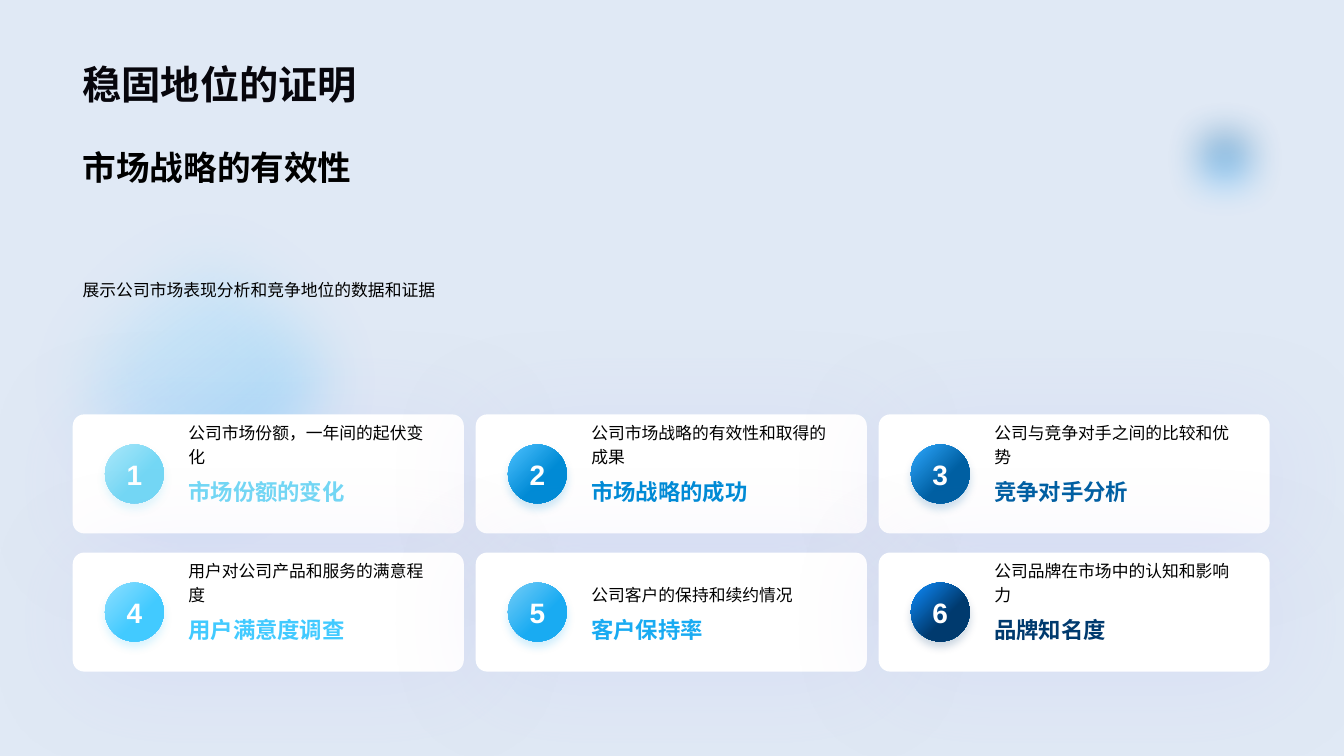
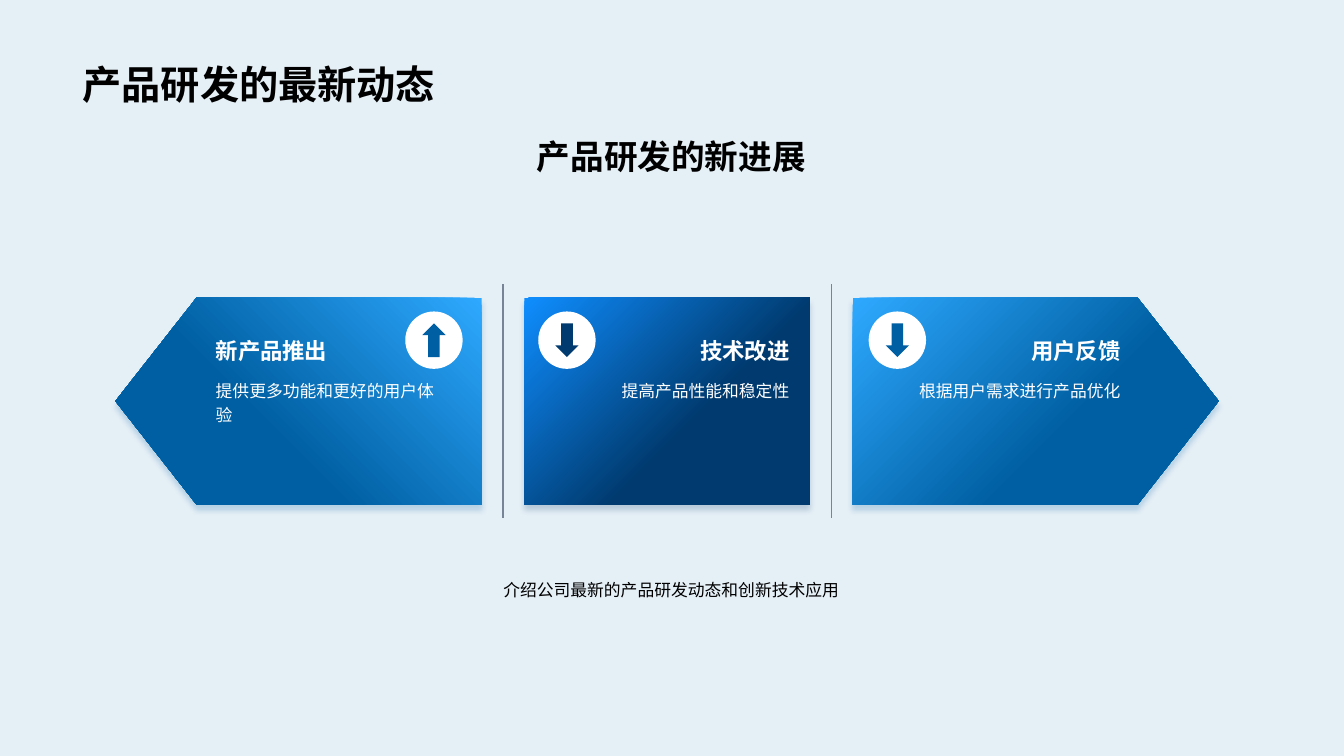
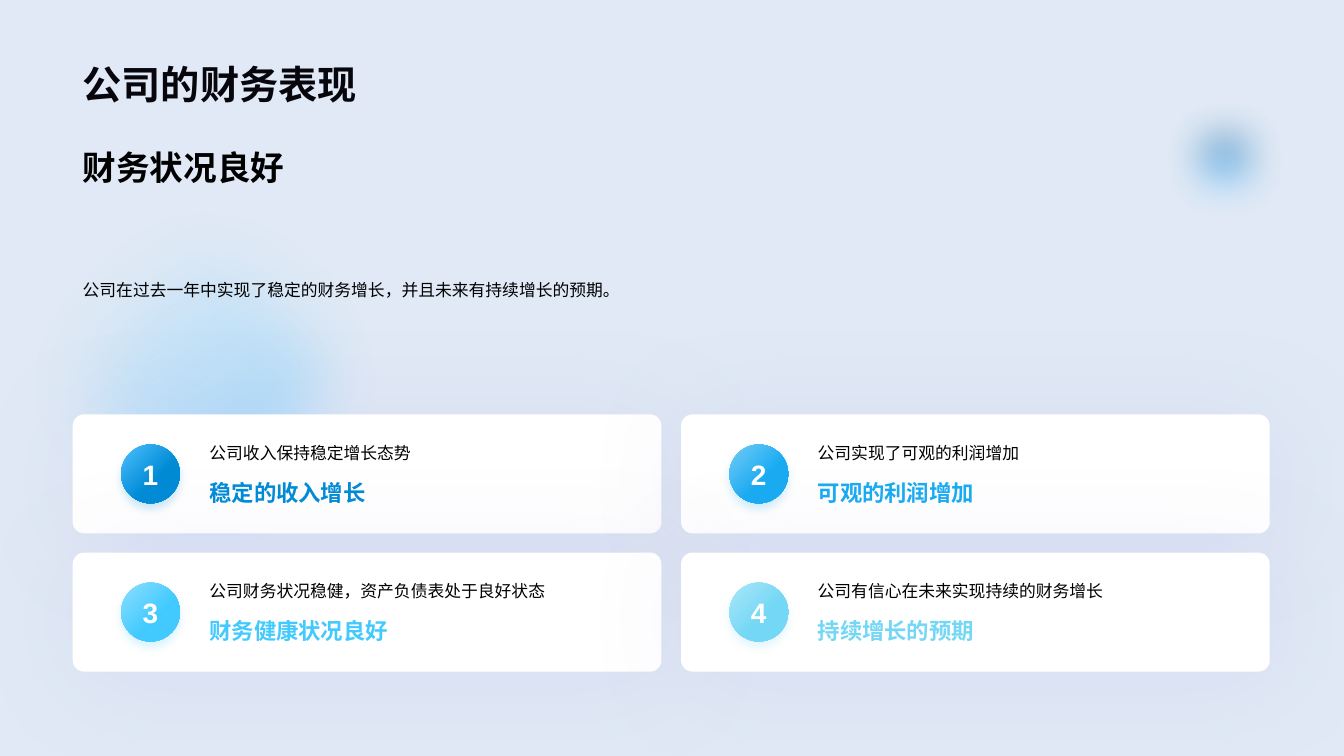
import pptx
import pptx.util
import pptx.dml.color
import pptx.oxml
import pptx.oxml.ns
import pptx.enum.shapes
import pptx.enum.text

Pt = pptx.util.Pt
SHAPE = pptx.enum.shapes.MSO_SHAPE
ANCHOR = pptx.enum.text.MSO_ANCHOR
ALIGN = pptx.enum.text.PP_ALIGN

FONT = "Arial"
PAGE_W, PAGE_H = 960, 540
LEFT, CONTENT_W = 52, 855
BACKGROUND, BLACK, WHITE = "E5EFF6", "000000", "FFFFFF"
VIOLET, DIVIDER = "8E7EF0", "778495"

AQUA = ("ABE7F9", "73D7F5")
SKY = ("8EDFFF", "42CAFF")
AZURE = ("75CDF7", "19ABF2")
CERULEAN = ("4DC1FF", "008BD5")
OCEAN = ("2EA9FF", "005FA2")
NAVY = ("0F8EFF", "003A6E")

LINEAR = '<a:lin ang="2700000" scaled="0"/>'
RADIAL = '<a:path path="circle"><a:fillToRect l="50000" t="130000" r="50000" b="-30000"/></a:path>'


def rgb(color):
    return pptx.dml.color.RGBColor.from_string(color)


def xml(text):
    tag, rest = text.split(" ", 1)
    return pptx.oxml.parse_xml(f'{tag} {pptx.oxml.ns.nsdecls("a")} {rest}')


def shape(s, kind, x, y, w, h, color=None):
    sp = s.shapes.add_shape(kind, Pt(x), Pt(y), Pt(w), Pt(h))
    sp.shadow.inherit = False
    sp.line.fill.background()
    if color:
        sp.fill.solid()
        sp.fill.fore_color.rgb = rgb(color)
    return sp


def gradient(sp, stops, direction=LINEAR):
    marks = "".join(
        f'<a:gs pos="{pos * 1000}"><a:srgbClr val="{color}"><a:alpha val="{alpha * 1000}"/></a:srgbClr></a:gs>'
        for pos, color, alpha in stops)
    fill = xml(f'<a:gradFill rotWithShape="1"><a:gsLst>{marks}</a:gsLst>{direction}</a:gradFill>')
    sp._element.spPr.find(pptx.oxml.ns.qn("a:prstGeom")).addnext(fill)


def two_tone(sp, tones):
    gradient(sp, [(0, tones[0], 100), (60, tones[1], 100)])


def effect(sp, text):
    sp._element.spPr.find(pptx.oxml.ns.qn("a:effectLst")).append(xml(text))


def shadow(sp, color, alpha, blur, dist, angle):
    effect(sp, f'<a:outerShdw blurRad="{Pt(blur)}" dist="{Pt(dist)}" dir="{angle * 60000}" algn="t" '
               f'rotWithShape="0"><a:srgbClr val="{color}"><a:alpha val="{alpha * 1000}"/></a:srgbClr></a:outerShdw>')


def write(sp, words, size, color, bold, align, anchor, spacing=None):
    tf = sp.text_frame
    tf.word_wrap = True
    tf.vertical_anchor = anchor
    tf.text = words
    p = tf.paragraphs[0]
    p.alignment = align
    if spacing:
        p.line_spacing = spacing
    font = p.runs[0].font
    font.name, font.size, font.bold = FONT, Pt(size), bold
    font.color.rgb = rgb(color)


def heading(s, words, x, y, w, h, size, color=BLACK, align=ALIGN.LEFT, anchor=ANCHOR.BOTTOM):
    sp = s.shapes.add_textbox(Pt(x), Pt(y), Pt(w), Pt(h))
    write(sp, words, size, color, True, align, anchor)


def body(s, words, x, y, w, h, color=BLACK, align=ALIGN.LEFT, anchor=ANCHOR.BOTTOM):
    sp = s.shapes.add_textbox(Pt(x), Pt(y), Pt(w), Pt(h))
    write(sp, words, 12, color, False, align, anchor, 1.2)


def add_slide(prs, title):
    s = prs.slides.add_slide(prs.slide_layouts[6])
    heading(s, title, LEFT, 0, CONTENT_W, 80.5, 28)
    return s


def glow(s, x, y, size, rotation, softness, stops, direction=LINEAR):
    sp = shape(s, SHAPE.OVAL, x, y, size, size)
    sp.rotation = rotation
    gradient(sp, stops, direction)
    effect(sp, f'<a:softEdge rad="{Pt(softness)}"/>')


def backdrop(s):
    sp = shape(s, SHAPE.RECTANGLE, 0, 0, PAGE_W, PAGE_H, VIOLET)
    color = sp._element.spPr.find(".//" + pptx.oxml.ns.qn("a:srgbClr"))
    color.append(xml('<a:alpha val="5000"/>'))
    glow(s, 0, 126.5, 289.5, 8.9, 50, [(0, "C4EAFF", 0), (60, "4DC1FF", 32)])
    glow(s, 817, 55.5, 116.5, 123.5, 32,
         [(0, "B9E2FF", 100), (47, "2EA9FF", 79), (89, "005FA2", 82)], RADIAL)


def card(s, number, x, y, w, pad, text_dx, split, note, label, tones):
    h, badge = 85, 42
    sp = shape(s, SHAPE.ROUNDED_RECTANGLE, x, y, w, h, WHITE)
    sp.adjustments[0] = 0.096
    shadow(sp, VIOLET, 10, 80, 8, 40)
    sp = shape(s, SHAPE.OVAL, x + pad, y + (h - badge) / 2, badge, badge)
    two_tone(sp, tones)
    shadow(sp, tones[1], 20, 6, 4, 90)
    tf = sp.text_frame
    tf.margin_left = tf.margin_right = tf.margin_top = tf.margin_bottom = 0
    write(sp, str(number), 20, WHITE, True, ALIGN.CENTER, ANCHOR.MIDDLE)
    text_w = w - text_dx - 21
    body(s, note, x + text_dx, y + split - 40, text_w, 40)
    heading(s, label, x + text_dx, y + split, text_w, 27 if split > 40 else 31, 16, tones[1])


def card_slide(prs, title, subtitle, intro, columns, gap, pad, text_dx, split, cards):
    s = add_slide(prs, title)
    backdrop(s)
    heading(s, subtitle, LEFT, 101.5, CONTENT_W, 36, 24, anchor=ANCHOR.TOP)
    body(s, intro, LEFT, 195, CONTENT_W, 23)
    w = (CONTENT_W - gap * (columns - 1)) / columns
    for i, content in enumerate(cards):
        row, column = divmod(i, columns)
        card(s, i + 1, LEFT + column * (w + gap), 296 + row * 98.7, w, pad, text_dx, split, *content)


def panel(s, kind, x, w, tones, icon_x, arrow, text_x, align, label, note, mirrored=False):
    y, disc, arrow_w, arrow_h = 212.5, 41, 16.6, 24
    sp = shape(s, kind, x, y, w, 148)
    if kind == SHAPE.PENTAGON:
        sp.adjustments[0] = 0.392
    if mirrored:
        sp._element.spPr.find(pptx.oxml.ns.qn("a:xfrm")).set("flipH", "1")
    two_tone(sp, tones)
    shadow(sp, tones[1], 20, 4, 4, 90)
    shape(s, SHAPE.OVAL, icon_x, y + 10, disc, disc, WHITE)
    shape(s, arrow, icon_x + (disc - arrow_w) / 2, y + 10 + (disc - arrow_h) / 2, arrow_w, arrow_h, tones[1])
    heading(s, label, text_x, y + 24.5, 181, 26.5, 16, WHITE, align)
    body(s, note, text_x, y + 53, 181, 40, WHITE, align, ANCHOR.TOP)


def divider(s, x):
    line = s.shapes.add_connector(pptx.enum.shapes.MSO_CONNECTOR.STRAIGHT, Pt(x), Pt(203), Pt(x), Pt(370))
    line.line.color.rgb = rgb(DIVIDER)
    line.line.width = Pt(1)
    line._element.spPr.append(xml('<a:effectLst />'))


def panel_slide(prs):
    s = add_slide(prs, "产品研发的最新动态")
    heading(s, "产品研发的新进展", LEFT, 93.5, CONTENT_W, 36, 24, align=ALIGN.CENTER)
    panels = [
        (SHAPE.PENTAGON, 261.5, OCEAN, 289.5, SHAPE.UP_ARROW, 147, ALIGN.LEFT,
         "新产品推出", "提供更多功能和更好的用户体验", True),
        (SHAPE.RECTANGLE, 204, NAVY, 384.5, SHAPE.DOWN_ARROW, 390, ALIGN.RIGHT,
         "技术改进", "提高产品性能和稳定性"),
        (SHAPE.PENTAGON, 261.5, OCEAN, 620.5, SHAPE.DOWN_ARROW, 626.5, ALIGN.RIGHT,
         "用户反馈", "根据用户需求进行产品优化"),
    ]
    x, gap = 82.5, 30.5
    for i, (kind, w, *content) in enumerate(panels):
        if i:
            divider(s, x - gap / 2)
        panel(s, kind, x, w, *content)
        x += w + gap
    body(s, "介绍公司最新的产品研发动态和创新技术应用", LEFT, 408, CONTENT_W, 23,
         align=ALIGN.CENTER, anchor=ANCHOR.TOP)


def main():
    prs = pptx.Presentation()
    prs.slide_width, prs.slide_height = Pt(PAGE_W), Pt(PAGE_H)
    fill = prs.slide_master.background.fill
    fill.solid()
    fill.fore_color.rgb = rgb(BACKGROUND)
    card_slide(prs, "稳固地位的证明", "市场战略的有效性", "展示公司市场表现分析和竞争地位的数据和证据",
               3, 8.5, 23, 75.5, 41, [
                   ("公司市场份额，一年间的起伏变化", "市场份额的变化", AQUA),
                   ("公司市场战略的有效性和取得的成果", "市场战略的成功", CERULEAN),
                   ("公司与竞争对手之间的比较和优势", "竞争对手分析", OCEAN),
                   ("用户对公司产品和服务的满意程度", "用户满意度调查", SKY),
                   ("公司客户的保持和续约情况", "客户保持率", AZURE),
                   ("公司品牌在市场中的认知和影响力", "品牌知名度", NAVY),
               ])
    panel_slide(prs)
    card_slide(prs, "公司的财务表现", "财务状况良好", "公司在过去一年中实现了稳定的财务增长，并且未来有持续增长的预期。",
               2, 14, 34.5, 90.5, 38, [
                   ("公司收入保持稳定增长态势", "稳定的收入增长", CERULEAN),
                   ("公司实现了可观的利润增加", "可观的利润增加", AZURE),
                   ("公司财务状况稳健，资产负债表处于良好状态", "财务健康状况良好", SKY),
                   ("公司有信心在未来实现持续的财务增长", "持续增长的预期", AQUA),
               ])
    prs.save("out.pptx")


if __name__ == "__main__":
    main()
